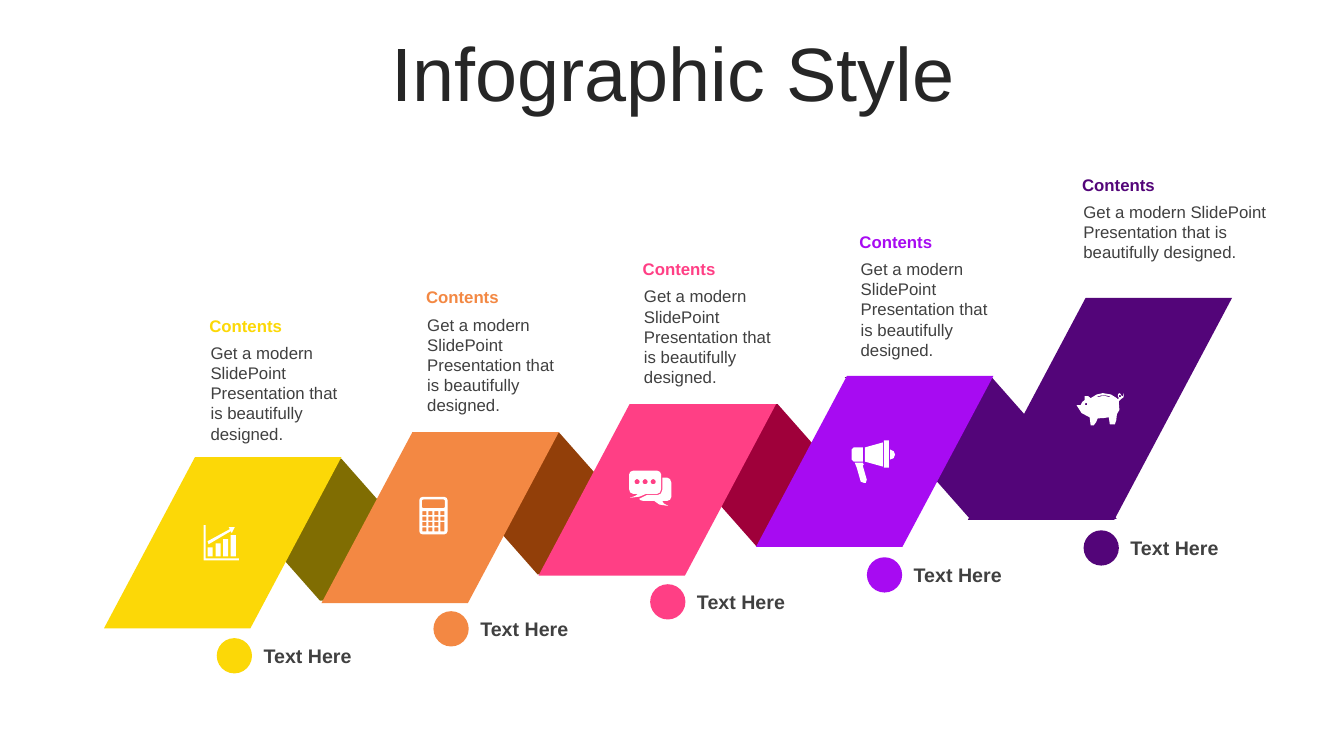
from dataclasses import dataclass
from math import cos, pi, sin

from pptx import Presentation
from pptx.dml.color import RGBColor
from pptx.enum.shapes import MSO_SHAPE
from pptx.enum.text import MSO_ANCHOR, PP_ALIGN
from pptx.shapes.autoshape import Shape
from pptx.slide import Slide
from pptx.util import Pt

Point = tuple[float, float]
Contour = list[Point]

GREY = "404040"
WHITE = "FFFFFF"
ICON_UNIT = 0.72
PANEL_W = 104.6
FOLD_W, FOLD_H, FOLD_SLANT = 194.4, 101.4, 0.883
DOT = 25.2
PITCH = 154.8
BODY = "Get a modern SlidePoint Presentation that is beautifully designed."


@dataclass
class Step:
    color: str
    x: float
    top: float
    bottom: float
    lean: float
    text_x: float
    text_y: float
    text_w: float
    text_h: float
    icon_x: float
    icon_y: float
    icon: list[Contour]


@dataclass
class Fold:
    color: str
    x: float
    y: float


def paint(sp: Shape, color: str) -> None:
    sp.fill.solid()
    sp.fill.fore_color.rgb = RGBColor.from_string(color)
    sp.line.fill.background()
    sp.shadow.inherit = False


def add_text(s: Slide, text: str, x: float, y: float, w: float, h: float, *,
             size: float = 12, color: str = GREY, bold: bool = False,
             inset: float = 7.2, align: PP_ALIGN = PP_ALIGN.LEFT,
             anchor: MSO_ANCHOR = MSO_ANCHOR.TOP,
             spacing: float = 1.0, before: float = 0) -> None:
    tf = s.shapes.add_textbox(Pt(x), Pt(y), Pt(w), Pt(h)).text_frame
    tf.word_wrap = True
    tf.vertical_anchor = anchor
    tf.margin_left = tf.margin_right = Pt(inset)
    p = tf.paragraphs[0]
    p.alignment = align
    p.line_spacing = spacing
    p.space_before = Pt(before)
    r = p.add_run()
    r.text = text
    r.font.name = "Arial"
    r.font.size = Pt(size)
    r.font.bold = bold
    r.font.color.rgb = RGBColor.from_string(color)


def add_outline(s: Slide, contours: list[Contour], color: str,
                x: float = 0, y: float = 0, unit: float = 1) -> None:
    grid = [[(round(px * unit * 100), round(py * unit * 100)) for px, py in c]
            for c in contours]
    builder = s.shapes.build_freeform(*grid[0][0], scale=float(Pt(0.01)))
    for i, points in enumerate(grid):
        if i:
            builder.move_to(*points[0])
        builder.add_line_segments(points[1:], close=True)
    paint(builder.convert_to_shape(Pt(x), Pt(y)), color)


def add_fold(s: Slide, fold: Fold) -> None:
    sp = s.shapes.add_shape(MSO_SHAPE.PARALLELOGRAM, Pt(fold.x), Pt(fold.y),
                            Pt(FOLD_W), Pt(FOLD_H))
    sp.adjustments[0] = FOLD_SLANT
    sp.element.spPr.xfrm.set("flipH", "1")
    paint(sp, fold.color)


def trace(*parts: tuple[float, ...]) -> Contour:
    points: Contour = []
    for part in parts:
        if len(part) == 6:
            x0, y0 = points[-1]
            x1, y1, x2, y2, x3, y3 = part
            points.append(((x0 + 3 * x1 + 3 * x2 + x3) / 8, (y0 + 3 * y1 + 3 * y2 + y3) / 8))
        points.append((part[-2], part[-1]))
    return points


def box(x: float, y: float, w: float, h: float) -> Contour:
    return [(x, y), (x + w, y), (x + w, y + h), (x, y + h)]


def rounded(x: float, y: float, w: float, h: float, r: float) -> Contour:
    corners = box(x + r, y + r, w - 2 * r, h - 2 * r)
    return [(cx + r * cos(a), cy + r * sin(a))
            for q, (cx, cy) in enumerate(corners)
            for a in (pi + q * pi / 2 + k * pi / 4 for k in range(3))]


def circle(cx: float, cy: float, r: float) -> Contour:
    return [(cx + r * cos(k * pi / 5), cy + r * sin(k * pi / 5)) for k in range(10)]


chart_icon = [
    *(box(x, y, 5, 31 - y) for x, y in ((4, 22), (12, 18), (19.5, 14), (27, 10))),
    [(25, 2), (31, 2), (28, 8), (27, 6), (5, 19), (4, 16), (26, 4)],
    [(0, 0), (2, 0), (2, 33), (35, 33), (35, 35), (0, 35)],
]
calculator_icon = [
    rounded(0, 0, 28, 37, 3), rounded(2.5, 2.5, 23, 8.5, 1.5),
    *(box(3 + 6 * col, 14 + 5.4 * row, 4, 4)
      for row in range(4) for col in range(4) if row < 2 or col < 3),
    box(21, 24.8, 4, 9.4),
]
chat_icon = [
    *(circle(x, 11, 2.6) for x in (8, 16, 24)),
    trace((4, 0), (28, 0), (30, 0, 32, 2, 32, 4), (32, 18), (32, 21, 30, 23, 28, 23),
          (17, 23), (12, 26, 10, 26, 1, 27), (6, 25, 7, 25, 9, 23), (4, 23),
          (2, 23, 0, 21, 0, 18), (0, 4), (0, 2, 2, 0, 4, 0)),
    trace((33, 7), (38, 7), (40, 7, 42, 9, 42, 12), (42, 26), (42, 28, 40, 30, 38, 30),
          (33, 30), (34, 32, 34, 33, 39, 35), (30, 34, 29, 34, 25, 30), (14, 30),
          (12, 30, 11, 29, 10, 28), (13, 27, 15, 25, 18, 24), (29, 24),
          (31, 24, 33, 22, 33, 19)),
]
megaphone_icon = [
    [(11, 22), (12, 24), (11, 25), (15, 39), (14, 42), (12, 42), (9, 41), (5, 27), (3, 22)],
    trace((38, 9), (41, 9, 43, 12, 43, 14), (43, 17, 41, 19, 38, 19)),
    [(2, 7), (11, 7), (11, 21), (2, 21), (0, 19), (0, 9)],
    [(31, 2), (31, 26), (13, 21), (13, 7)],
    box(32, 0, 5, 27),
]
pig_icon = [
    box(8.5, 10, 2, 2), box(42, 2, 2, 2),
    [(21, 3), (21, 4), (27, 2.6), (33, 4), (33, 3), (27, 2)],
    trace((26, 0), (32, 0, 37, 2, 40, 5), (41, 6), (42, 5), (41, 3),
          (41, 1, 41, 0, 43, 0), (45, 3), (46, 3), (47, 0),
          (48, 4, 46, 5, 44, 6), (42, 8), (42, 10), (44, 15, 42, 19, 40, 21),
          (40, 26, 39, 28, 38, 31), (33, 31), (32, 24),
          (28, 25, 24, 25, 21, 25), (20, 28, 19, 30, 17, 32), (14, 32), (13, 24),
          (9, 22, 0, 19, 0, 12), (4, 12), (5, 9, 6, 8, 8, 7), (8, 3),
          (11, 1, 12, 4, 14, 5), (17, 2, 23, 0, 26, 0)),
]

STEPS = [
    Step("FCD807", 74.3, 326.5, 448.8, 65, 143.3, 241.2, 109.4, 80, 145.4, 375.1, chart_icon),
    Step("F38843", 229.6, 308.6, 430.8, 65, 298.1, 221, 109.4, 80, 299.5, 355, calculator_icon),
    Step("FF3F85", 384.7, 288.7, 411.1, 65, 452.9, 200.9, 109.4, 80, 449.3, 336.2, chat_icon),
    Step("A70BF2", 540, 268.4, 390.6, 65, 607.7, 181.4, 109.4, 80, 608.4, 314.6, megaphone_icon),
    Step("530579", 691.3, 212.7, 371.4, 84.2, 766.8, 140.4, 146.9, 65.5, 769, 280.8, pig_icon),
]
FOLDS = [
    Fold("806D02", 139, 327.6),
    Fold("923F09", 294.5, 308.9),
    Fold("9F003A", 450.7, 288.7),
    Fold("530579", 603.4, 269.3),
]


def main() -> None:
    prs = Presentation()
    prs.slide_width, prs.slide_height = Pt(960), Pt(540)
    s = prs.slides.add_slide(prs.slide_layouts[6])
    add_text(s, "Infographic Style", 25.2, 26.6, 911.5, 56.9, size=54, color="262626",
             align=PP_ALIGN.CENTER, anchor=MSO_ANCHOR.MIDDLE, spacing=0.9, before=10)
    for fold in FOLDS:
        add_fold(s, fold)
    for i, st in enumerate(STEPS):
        left = st.x + st.lean
        add_outline(s, [[(left, st.top), (left + PANEL_W, st.top),
                         (st.x + PANEL_W, st.bottom), (st.x, st.bottom)]], st.color)
        add_text(s, BODY, st.text_x, st.text_y, st.text_w, st.text_h)
        add_text(s, "Contents", st.text_x - 2.4, st.text_y - 19.4, st.text_w, 21.6,
                 color=st.color, bold=True, inset=8.6)
        dot_x, dot_y = PITCH * (i + 1), 455.8 - 19.25 * i
        dot = s.shapes.add_shape(MSO_SHAPE.OVAL, Pt(dot_x), Pt(dot_y), Pt(DOT), Pt(DOT))
        paint(dot, st.color)
        add_text(s, "Text Here", dot_x + 26.4, dot_y + 0.3, 81.4, 24.2, size=14, bold=True)
        add_outline(s, st.icon, WHITE, st.icon_x, st.icon_y, ICON_UNIT)
    prs.save("out.pptx")


if __name__ == "__main__":
    main()
